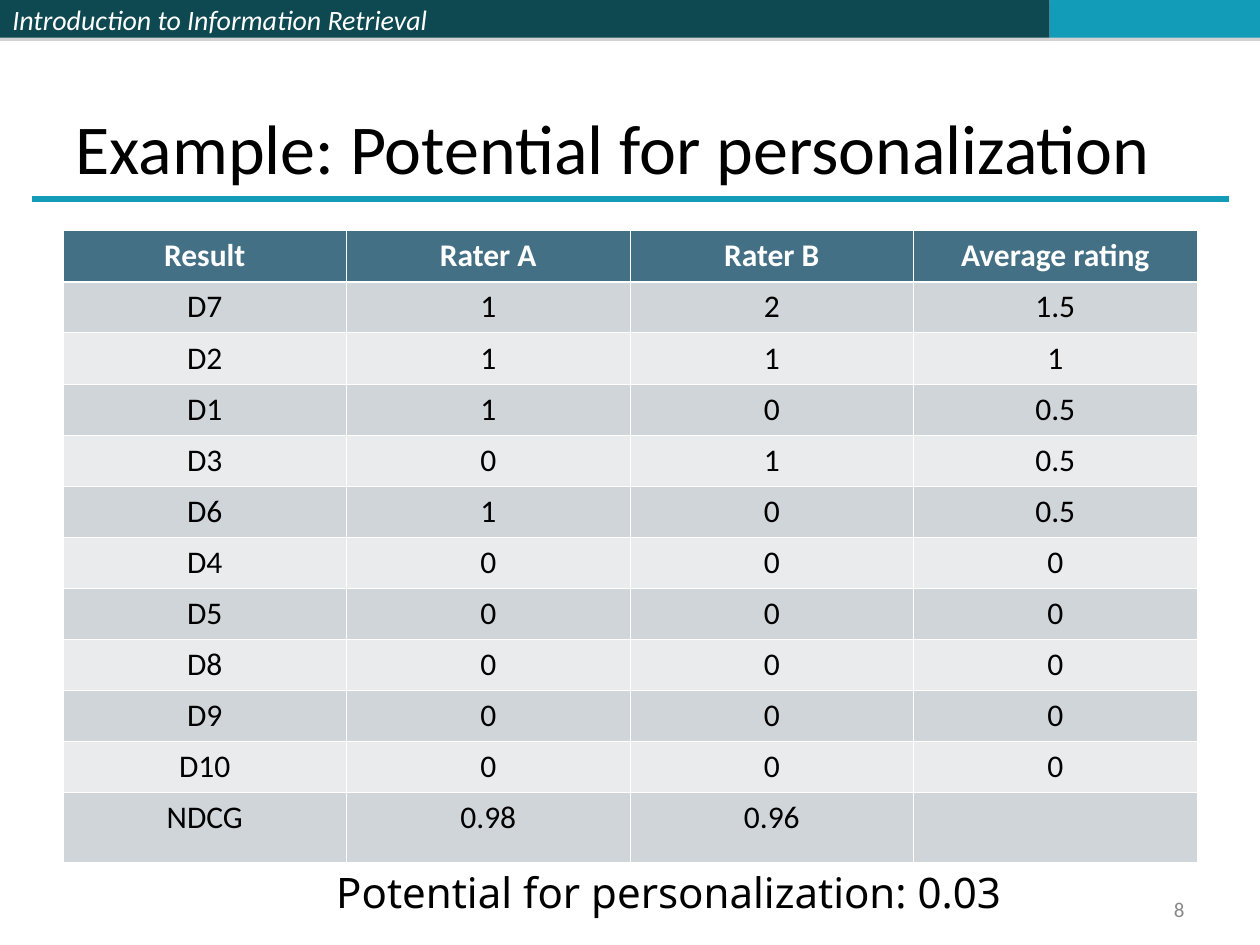
from lxml.etree import SubElement
from pptx import Presentation
from pptx.dml.color import RGBColor
from pptx.enum.shapes import MSO_CONNECTOR, MSO_SHAPE
from pptx.enum.text import MSO_ANCHOR, MSO_AUTO_SIZE, PP_ALIGN
from pptx.oxml.ns import qn
from pptx.util import Inches, Pt

COLORS = {
    "bar": "0E4851", "accent": "139CB7", "shadow": "808080",
    "header": "437085", "odd": "CFD5D9", "even": "E9EBED",
    "white": "FFFFFF", "black": "000000", "number": "898989",
}
COURSE = "Introduction to Information Retrieval"
TITLE = "Example: Potential for personalization"
CONCLUSION = "Potential for personalization: 0.03"
PAGE = "8"
RATINGS = [
    ("Result", "Rater A", "Rater B", "Average rating"),
    ("D7", "1", "2", "1.5"),
    ("D2", "1", "1", "1"),
    ("D1", "1", "0", "0.5"),
    ("D3", "0", "1", "0.5"),
    ("D6", "1", "0", "0.5"),
    ("D4", "0", "0", "0"),
    ("D5", "0", "0", "0"),
    ("D8", "0", "0", "0"),
    ("D9", "0", "0", "0"),
    ("D10", "0", "0", "0"),
    ("NDCG", "0.98", "0.96", ""),
]
BARS = [(4.08, "bar", COURSE), (4.25, "bar", ""), (1.67, "accent", "")]
BAR_HEIGHT = 0.3
TABLE_LEFT, TABLE_TOP, TABLE_WIDTH = 0.5, 1.83, 9
LAST_ROW_HEIGHT = 0.55
ROWS_HEIGHT = 4.46
THIN, THICK = 0.45, 1.47


def rgb(name):
    return RGBColor.from_string(COLORS[name])


def write(frame, text, size, color, align=PP_ALIGN.LEFT, font="Calibri", bold=False, italic=False):
    paragraph = frame.paragraphs[0]
    paragraph.alignment = align
    run = paragraph.add_run()
    run.text = text
    run.font.name = font
    run.font.size = Pt(size)
    run.font.bold = bold
    run.font.italic = italic
    run.font.color.rgb = rgb(color)


def add_solid(parent, name):
    fill = SubElement(parent, qn("a:solidFill"))
    return SubElement(fill, qn("a:srgbClr"), val=COLORS[name])


def add_shadow(bar):
    effects = SubElement(bar._element.spPr, qn("a:effectLst"))
    shadow = SubElement(effects, qn("a:outerShdw"), blurRad="0", dist=str(Pt(1.8)),
                        dir="5400000", rotWithShape="0")
    tone = SubElement(shadow, qn("a:srgbClr"), val=COLORS["shadow"])
    SubElement(tone, qn("a:alpha"), val="35000")


def add_borders(cell, row):
    widths = {"lnL": THIN, "lnR": THIN,
              "lnT": THICK if row == 1 else THIN,
              "lnB": THICK if row == 0 else THIN}
    properties = cell._tc.get_or_add_tcPr()
    for side, width in widths.items():
        add_solid(SubElement(properties, qn(f"a:{side}"), w=str(Pt(width))), "white")


def add_bars(slide):
    left = 0
    for width, color, text in BARS:
        bar = slide.shapes.add_shape(MSO_SHAPE.RECTANGLE, Inches(left), 0,
                                     Inches(width), Inches(BAR_HEIGHT))
        bar.fill.solid()
        bar.fill.fore_color.rgb = rgb(color)
        bar.line.fill.background()
        add_shadow(bar)
        if text:
            bar.text_frame.vertical_anchor = MSO_ANCHOR.MIDDLE
            write(bar.text_frame, text, 16, "white", italic=True)
        left += width


def add_title(slide):
    title = slide.shapes.title
    title.left, title.top, title.width, title.height = map(Inches, (0.5, 0.3, 9, 1.25))
    title.text_frame.auto_size = MSO_AUTO_SIZE.NONE
    title.text_frame.vertical_anchor = MSO_ANCHOR.BOTTOM
    write(title.text_frame, TITLE, 40, "black")
    rule = slide.shapes.add_connector(MSO_CONNECTOR.STRAIGHT, Inches(0.25), Inches(1.58),
                                      Inches(9.75), Inches(1.58))
    rule.line.color.rgb = rgb("accent")
    rule.line.width = Pt(3)
    SubElement(rule._element.spPr, qn("a:effectLst"))


def add_ratings(slide):
    table = slide.shapes.add_table(
        len(RATINGS), len(RATINGS[0]), Inches(TABLE_LEFT), Inches(TABLE_TOP),
        Inches(TABLE_WIDTH), Inches(ROWS_HEIGHT + LAST_ROW_HEIGHT)).table
    for row, values in enumerate(RATINGS):
        last = row == len(RATINGS) - 1
        height = LAST_ROW_HEIGHT if last else ROWS_HEIGHT / (len(RATINGS) - 1)
        table.rows[row].height = Inches(height)
        fill = "header" if row == 0 else "odd" if row % 2 else "even"
        for column, value in enumerate(values):
            cell = table.cell(row, column)
            add_borders(cell, row)
            cell.fill.solid()
            cell.fill.fore_color.rgb = rgb(fill)
            if value:
                write(cell.text_frame, value, 18, "black" if row else "white",
                      PP_ALIGN.CENTER, bold=row == 0)


def add_footer(slide):
    number = slide.shapes.add_textbox(Inches(7.17), Inches(7.08), Inches(2.33), Inches(0.27))
    number.text_frame.word_wrap = True
    number.text_frame.vertical_anchor = MSO_ANCHOR.MIDDLE
    write(number.text_frame, PAGE, 12, "number", PP_ALIGN.RIGHT)
    conclusion = slide.shapes.add_textbox(Inches(2.57), Inches(6.83), Inches(5.6), Inches(0.5))
    conclusion.text_frame.word_wrap = True
    conclusion.text_frame.auto_size = MSO_AUTO_SIZE.NONE
    write(conclusion.text_frame, CONCLUSION, 24, "black", font="Noto Sans")


def main():
    deck = Presentation()
    deck.slide_width, deck.slide_height = Inches(10), Inches(7.5)
    slide = deck.slides.add_slide(deck.slide_layouts[5])
    add_bars(slide)
    add_title(slide)
    add_ratings(slide)
    add_footer(slide)
    deck.save("out.pptx")


if __name__ == "__main__":
    main()
